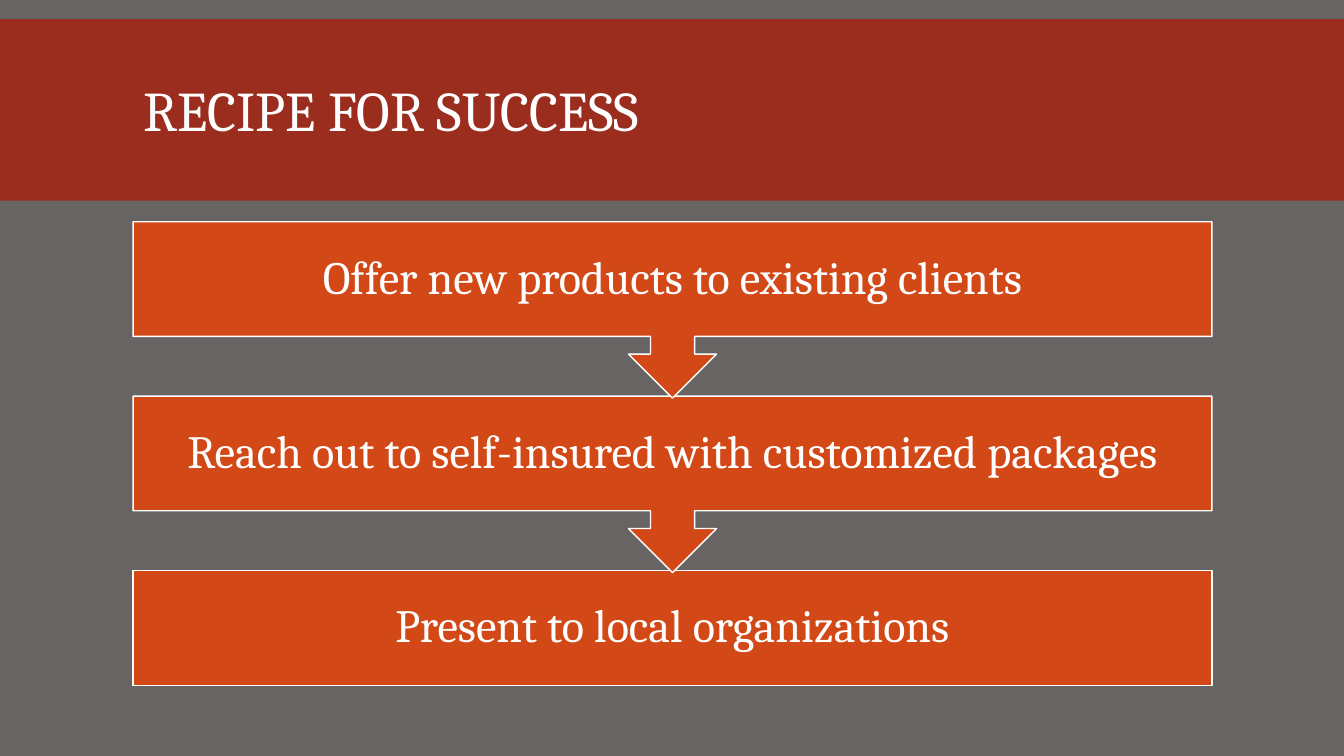
from pptx import Presentation
from pptx import util as u
from pptx.dml.color import RGBColor
from pptx.enum import shapes, text

COLORS = {"back": "696464", "band": "9B2D1F", "step": "D34817", "white": "FFFFFF"}
FONT = "Cambria"
LEFT, WIDTH = 1.32, 10.7
TOP, PITCH = 2.2, 1.73
BOX_H, CALL_H = 1.14, 1.75
STEPS = [
    "Offer new products to existing clients",
    "Reach out to self-insured with customized packages",
    "Present to local organizations",
]


def paint(fill, name):
    """Give a fill one solid colour."""
    fill.solid()
    fill.fore_color.rgb = RGBColor.from_string(COLORS[name])


def add_block(slide, kind, box, color, edge=None):
    """Add a filled shape, with a thin outline if an edge colour is given."""
    block = slide.shapes.add_shape(kind, *map(u.Inches, box))
    block.shadow.inherit = False
    paint(block.fill, color)
    if edge:
        paint(block.line.fill, edge)
        block.line.width = u.Pt(1)
    else:
        block.line.fill.background()
    return block


def set_text(shape, words, size, align, space, pad=None):
    """Write one white paragraph, centred vertically."""
    frame = shape.text_frame
    frame.word_wrap = True
    frame.auto_size = text.MSO_AUTO_SIZE.NONE
    frame.vertical_anchor = text.MSO_ANCHOR.MIDDLE
    if pad is not None:
        frame.margin_left = frame.margin_right = u.Inches(pad)
        frame.margin_top = frame.margin_bottom = u.Inches(pad)
    para = frame.paragraphs[0]
    para.text = words
    para.alignment = align
    para.line_spacing = space
    para.font.name = FONT
    para.font.size = u.Pt(size)
    para.font.color.rgb = RGBColor.from_string(COLORS["white"])


def add_title(slide, words):
    """Place the title on its full-width band."""
    band = add_block(slide, shapes.MSO_SHAPE.RECTANGLE, (0, 0.19, 13.33, 1.8), "band")
    title = slide.shapes.title
    band.element.addnext(title.element)
    title.left, title.top = u.Inches(LEFT), u.Inches(0.31)
    title.width, title.height = u.Inches(WIDTH), u.Inches(1.65)
    set_text(title, words, 40, text.PP_ALIGN.LEFT, 0.85)


def add_step(slide, words, top, last):
    """Add a step; all but the last point down to the next."""
    if last:
        add_block(slide, shapes.MSO_SHAPE.RECTANGLE,
                  (LEFT, top, WIDTH, BOX_H), "step", "white")
    else:
        call = add_block(slide, shapes.MSO_SHAPE.UP_ARROW_CALLOUT,
                         (LEFT, top, WIDTH, CALL_H), "step", "white")
        call.rotation = 180
    label = slide.shapes.add_textbox(*map(u.Inches, (LEFT, top, WIDTH, BOX_H)))
    set_text(label, words, 33, text.PP_ALIGN.CENTER, 0.9, 0.26)


def main():
    """Build the slide and save it."""
    deck = Presentation()
    deck.slide_width, deck.slide_height = u.Inches(13.33), u.Inches(7.5)
    slide = deck.slides.add_slide(deck.slide_layouts[5])
    paint(slide.background.fill, "back")
    add_title(slide, "RECIPE FOR SUCCESS")
    end = len(STEPS) - 1
    for i in range(end, -1, -1):  # lowest first, so arrow tips overlap the next box
        add_step(slide, STEPS[i], TOP + i * PITCH, i == end)
    deck.save("out.pptx")


main()
